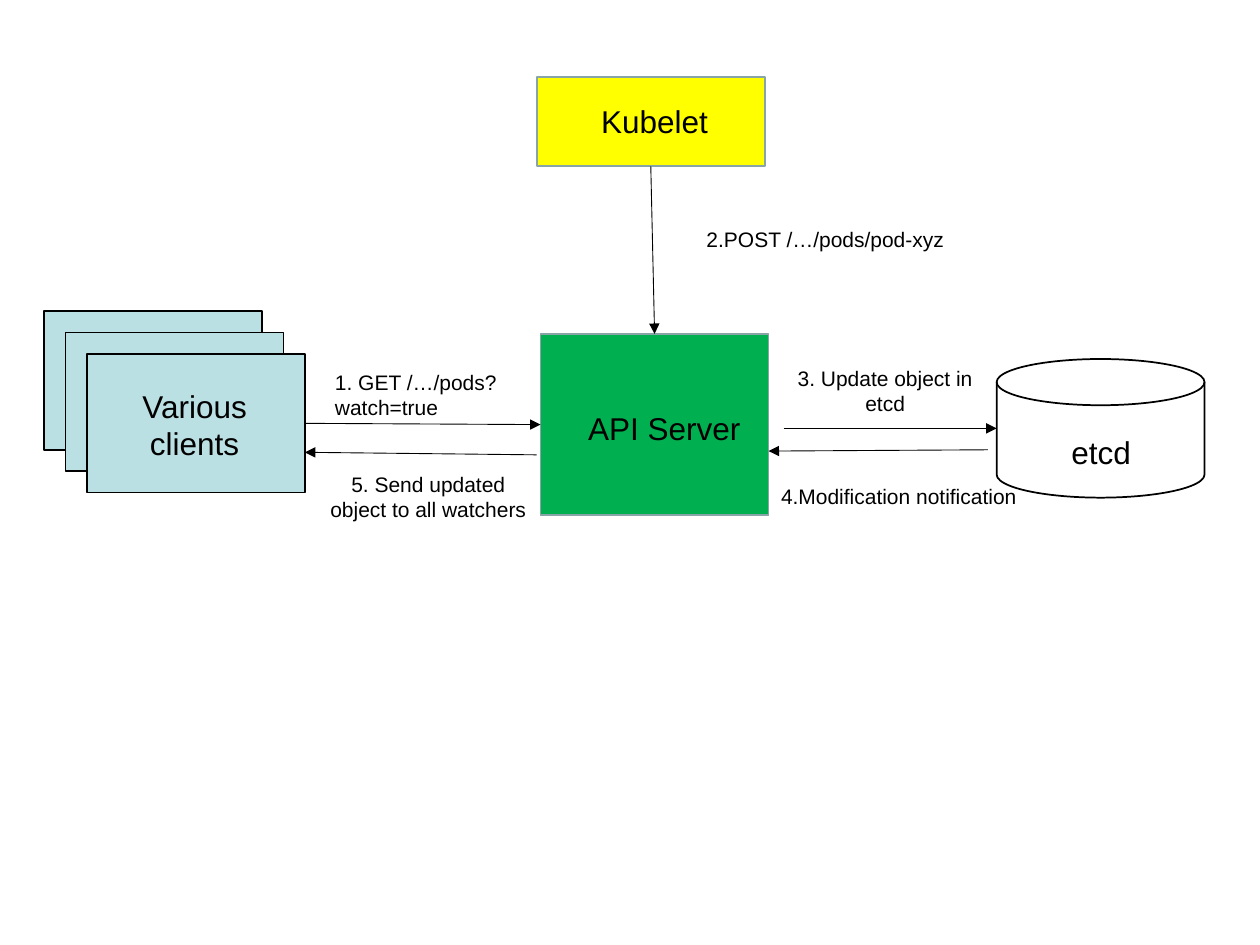
from typing import NamedTuple, Optional

from lxml import etree
from pptx import Presentation
from pptx.dml.color import RGBColor
from pptx.enum.shapes import MSO_CONNECTOR as Connector
from pptx.enum.shapes import MSO_SHAPE as Preset
from pptx.enum.text import MSO_AUTO_SIZE as AutoSize
from pptx.enum.text import PP_ALIGN as Align
from pptx.oxml.ns import qn
from pptx.util import Inches, Pt

BLACK = RGBColor(0x00, 0x00, 0x00)
WHITE = RGBColor(0xFF, 0xFF, 0xFF)
PALE_BLUE = RGBColor(0xBB, 0xE0, 0xE3)
GREEN = RGBColor(0x00, 0xB0, 0x50)
YELLOW = RGBColor(0xFF, 0xFF, 0x00)
GREY_BLUE = RGBColor(0x89, 0xA4, 0xA7)

FONT = "Arial"
NAME_SIZE, STEP_SIZE = 18, 12
CLIENT_COUNT, CLIENT_OFFSET = 3, 0.17


class Node(NamedTuple):
    left: float
    top: float
    width: float
    height: float
    fill: RGBColor
    line: RGBColor = BLACK
    preset: Preset = Preset.RECTANGLE


class Label(NamedTuple):
    lines: tuple[str, ...]
    left: float
    top: float
    width: float
    height: float
    size: int = STEP_SIZE
    align: Align = Align.CENTER


class Arrow(NamedTuple):
    start: tuple[float, float]
    end: tuple[float, float]
    start_joint: Optional[tuple[str, int]] = None  # node name, side
    end_joint: Optional[tuple[str, int]] = None


NODES = {
    f"client {i + 1}": Node(0.35 + i * CLIENT_OFFSET, 2.47 + i * CLIENT_OFFSET,
                            1.73, 1.1, PALE_BLUE)
    for i in range(CLIENT_COUNT)
} | {
    "server": Node(4.29, 2.65, 1.81, 1.44, GREEN, GREY_BLUE),
    "etcd": Node(7.91, 2.85, 1.65, 1.1, WHITE,
                 preset=Preset.FLOWCHART_MAGNETIC_DISK),
    "kubelet": Node(4.26, 0.61, 1.81, 0.71, YELLOW, GREY_BLUE),
}

LABELS = [
    # Component names
    Label(("Various", "clients"), 0.83, 3.02, 1.43, 0.7, NAME_SIZE),
    Label(("API Server",), 4.57, 3.2, 1.65, 0.4, NAME_SIZE, Align.LEFT),
    Label(("Kubelet",), 4.29, 0.76, 1.81, 0.4, NAME_SIZE),
    Label(("etcd",), 8.11, 3.39, 1.26, 0.4, NAME_SIZE),
    # Steps
    Label(("1. GET /…/pods?watch=true",), 2.56, 2.88, 1.78, 0.5, align=Align.LEFT),
    Label(("2.POST /…/pods/pod-xyz",), 5.39, 1.75, 2.32, 0.3),
    Label(("3. Update object in etcd",), 6.22, 2.85, 1.61, 0.5),
    Label(("4.Modification notification",), 6.1, 3.79, 2.08, 0.3, align=Align.LEFT),
    Label(("5. Send updated object to all watchers",), 2.45, 3.69, 1.9, 0.5),
]

ARROWS = [
    Arrow((2.42, 3.36), (4.29, 3.37), (f"client {CLIENT_COUNT}", 3), ("server", 1)),
    Arrow((5.16, 1.31), (5.2, 2.65), ("kubelet", 2), ("server", 0)),
    Arrow((6.22, 3.4), (7.91, 3.4)),
    Arrow((7.84, 3.57), (6.1, 3.58)),
    Arrow((4.26, 3.61), (2.42, 3.59)),
]


def add_node(slide, node: Node):
    shape = slide.shapes.add_shape(
        node.preset, Inches(node.left), Inches(node.top),
        Inches(node.width), Inches(node.height))
    shape.shadow.inherit = False
    shape.fill.solid()
    shape.fill.fore_color.rgb = node.fill
    shape.line.color.rgb = node.line
    shape.line.width = Pt(1)
    return shape


def add_label(slide, label: Label) -> None:
    box = slide.shapes.add_textbox(
        Inches(label.left), Inches(label.top),
        Inches(label.width), Inches(label.height))
    frame = box.text_frame
    frame.word_wrap = True
    frame.auto_size = AutoSize.SHAPE_TO_FIT_TEXT
    for index, line in enumerate(label.lines):
        paragraph = frame.add_paragraph() if index else frame.paragraphs[0]
        paragraph.alignment = label.align
        run = paragraph.add_run()
        run.text = line
        run.font.name = FONT
        run.font.size = Pt(label.size)
        run.font.color.rgb = BLACK


def add_arrow(slide, arrow: Arrow, shapes: dict) -> None:
    connector = slide.shapes.add_connector(
        Connector.STRAIGHT, *map(Inches, arrow.start + arrow.end))
    connector.line.color.rgb = BLACK
    connector.line.width = Pt(0.5)
    if arrow.start_joint:
        name, side = arrow.start_joint
        connector.begin_connect(shapes[name], side)
    if arrow.end_joint:
        name, side = arrow.end_joint
        connector.end_connect(shapes[name], side)
    properties = connector._element.spPr
    etree.SubElement(properties.find(qn("a:ln")), qn("a:tailEnd"), type="triangle")
    etree.SubElement(properties, qn("a:effectLst"))


def main() -> None:
    presentation = Presentation()
    presentation.slide_width = Inches(10)
    presentation.slide_height = Inches(7.5)
    slide = presentation.slides.add_slide(presentation.slide_layouts[6])

    shapes = {name: add_node(slide, node) for name, node in NODES.items()}
    for arrow in ARROWS:
        add_arrow(slide, arrow, shapes)
    for label in LABELS:
        add_label(slide, label)

    presentation.save("out.pptx")


if __name__ == "__main__":
    main()
